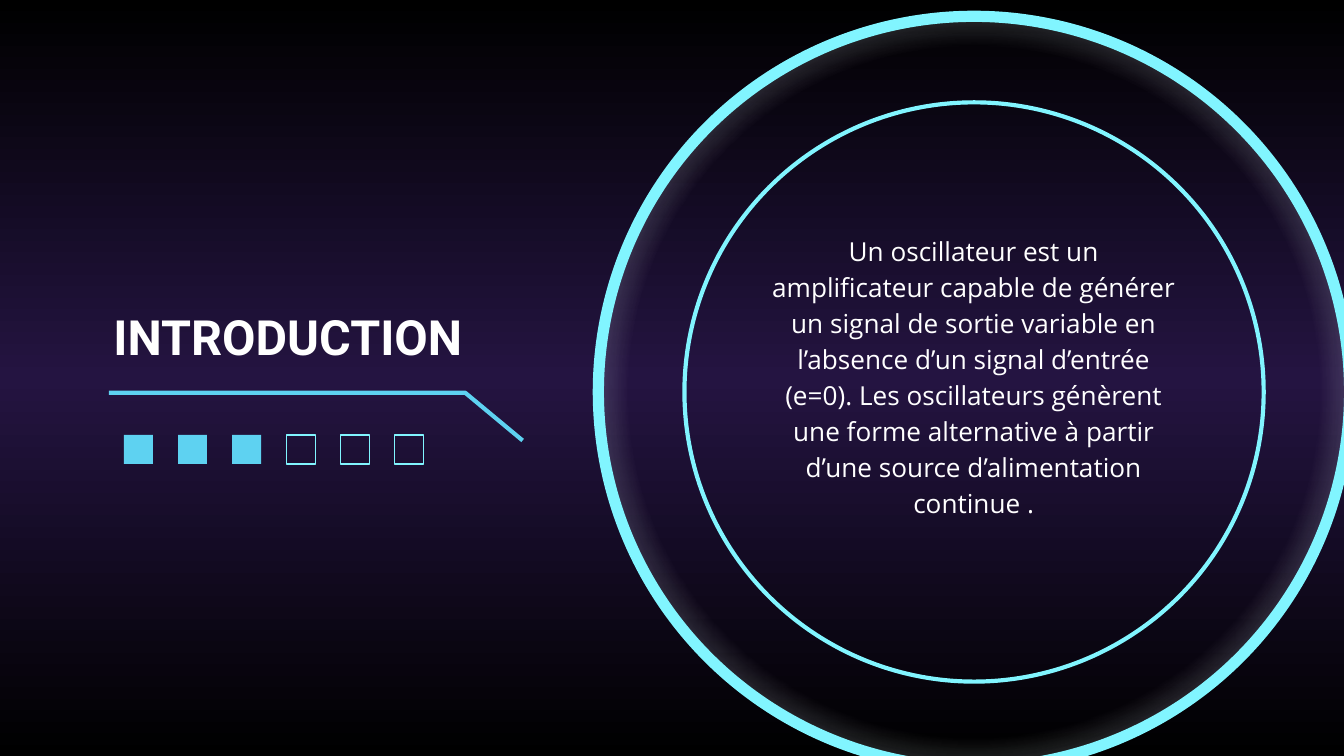
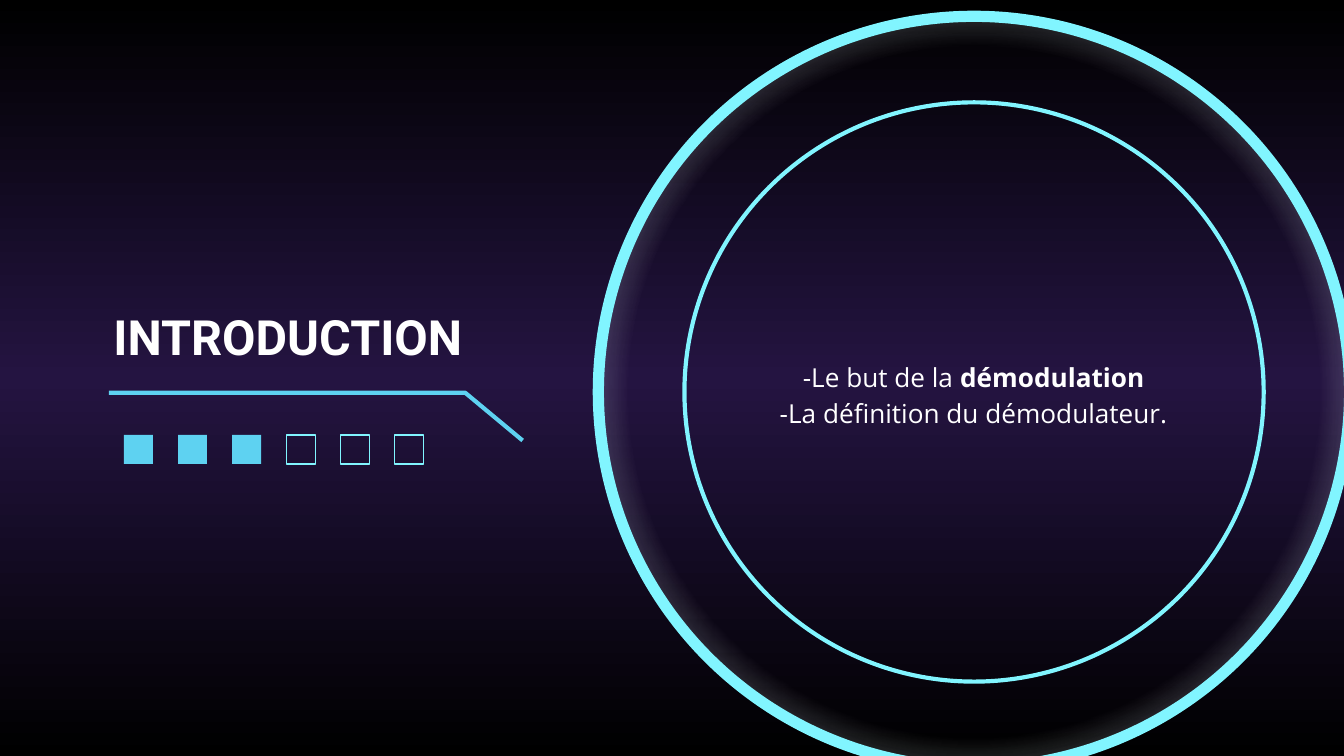
from dataclasses import dataclass

from lxml import etree
from pptx import Presentation
from pptx.dml.color import RGBColor
from pptx.enum.shapes import MSO_SHAPE
from pptx.enum.text import MSO_ANCHOR, MSO_AUTO_SIZE, PP_ALIGN
from pptx.oxml.ns import qn
from pptx.util import Pt

OVAL, RECT = MSO_SHAPE.OVAL, MSO_SHAPE.RECTANGLE
MIDDLE, CENTER = MSO_ANCHOR.MIDDLE, PP_ALIGN.CENTER
NO_AUTOFIT = MSO_AUTO_SIZE.NONE

WHITE, BLACK, PURPLE = "FFFFFF", "000000", "241441"
SKY, CYAN = "5ED2F1", "81F5FF"
TITLE_FONT, BODY_FONT = "Roboto", "Open Sans"

TITLE_BOX = (30.2, 156.2, 248.4, 47.5)
BODY_BOX = (403.2, 124.6, 236.9, 171.4)
RULE_POINTS = [(58.3, 210.4), (249.2, 210.4), (280, 236)]
SQUARE_LEFT, SQUARE_TOP, SQUARE_SIZE, SQUARE_PITCH = 66.4, 233, 15.5, 29
SQUARE_COUNT, FILLED_COUNT = 6, 3


@dataclass
class Stop:
    percent: int
    color: str
    alpha: int = 100


@dataclass
class Ring:
    center_x: float
    center_y: float
    diameter: float
    weight: float
    stops: tuple = ()


@dataclass
class Run:
    text: str
    bold: bool = False


@dataclass
class Intro:
    paragraphs: list
    margin_top: float = 7.2
    margin_bottom: float = 7.2


BACKGROUND = (Stop(0, BLACK), Stop(50, PURPLE), Stop(100, BLACK))
GLOW = (Stop(0, WHITE, 0), Stop(65, WHITE, 0), Stop(100, SKY))
RINGS = [Ring(521.8, 210, 402.5, 6, GLOW), Ring(521.8, 210, 310.3, 2.25)]

SLIDES = [
    Intro([[Run("Un oscillateur est un amplificateur capable de générer un signal de "
                "sortie variable en l’absence d’un signal d’entrée (e=0). Les "
                "oscillateurs génèrent une forme alternative à partir d’une source "
                "d’alimentation continue .")]],
          margin_top=0, margin_bottom=19.4),
    Intro([[Run("-Le but de la "), Run("démodulation", bold=True)],
           [Run("-La définition du démodulateur.")]]),
]


def rgb(color: str) -> RGBColor:
    return RGBColor.from_string(color)


def set_gradient(fill, element, stops: tuple, radial: bool = False) -> None:
    fill.gradient()
    grad = element.find(".//" + qn("a:gradFill"))
    for child in list(grad):
        grad.remove(child)
    stop_list = etree.SubElement(grad, qn("a:gsLst"))
    for stop in stops:
        gs = etree.SubElement(stop_list, qn("a:gs"), pos=str(stop.percent * 1000))
        clr = etree.SubElement(gs, qn("a:srgbClr"), val=stop.color)
        if stop.alpha < 100:
            etree.SubElement(clr, qn("a:alpha"), val=str(stop.alpha * 1000))
    if radial:
        shade = etree.SubElement(grad, qn("a:path"), {"path": "circle"})
        etree.SubElement(shade, qn("a:fillToRect"),
                         {side: "50000" for side in "ltrb"})
    else:
        etree.SubElement(grad, qn("a:lin"), ang="5400000", scaled="0")


def style(sp, fill: str = "", line: str = "", weight: float = 0.75) -> None:
    sp.shadow.inherit = False
    if fill:
        sp.fill.solid()
        sp.fill.fore_color.rgb = rgb(fill)
    else:
        sp.fill.background()
    if line:
        sp.line.color.rgb = rgb(line)
        sp.line.width = Pt(weight)
    else:
        sp.line.fill.background()


def add_run(p, text: str, *, font: str, size: float, bold: bool = False,
            color: str = WHITE) -> None:
    r = p.add_run()
    r.text = text
    r.font.name, r.font.size, r.font.bold = font, Pt(size), bold
    r.font.color.rgb = rgb(color)


def set_frame(tf, margin_top: float = 7.2, margin_bottom: float = 7.2) -> None:
    tf.word_wrap = True
    tf.auto_size = NO_AUTOFIT
    tf.vertical_anchor = MIDDLE
    tf.margin_left = tf.margin_right = Pt(7.2)
    tf.margin_top, tf.margin_bottom = Pt(margin_top), Pt(margin_bottom)


def add_rings(s) -> None:
    for ring in RINGS:
        radius = ring.diameter / 2
        sp = s.shapes.add_shape(OVAL, Pt(ring.center_x - radius), Pt(ring.center_y - radius),
                                Pt(ring.diameter), Pt(ring.diameter))
        style(sp, line=CYAN, weight=ring.weight)
        if ring.stops:
            set_gradient(sp.fill, sp.element, ring.stops, radial=True)


def add_title(s, text: str) -> None:
    title = s.shapes.title
    title.left, title.top, title.width, title.height = map(Pt, TITLE_BOX)
    set_frame(title.text_frame)
    p = title.text_frame.paragraphs[0]
    p.alignment = CENTER
    add_run(p, text, font=TITLE_FONT, size=26, bold=True)


def add_body(s, intro: Intro) -> None:
    tf = s.shapes.add_textbox(*map(Pt, BODY_BOX)).text_frame
    set_frame(tf, intro.margin_top, intro.margin_bottom)
    for i, runs in enumerate(intro.paragraphs):
        p = tf.add_paragraph() if i else tf.paragraphs[0]
        p.alignment, p.line_spacing = CENTER, 1.15
        for run in runs:
            add_run(p, run.text, font=BODY_FONT, size=14, bold=run.bold)


def add_rule(s) -> None:
    start, *rest = [(Pt(x), Pt(y)) for x, y in RULE_POINTS]
    builder = s.shapes.build_freeform(*start)
    builder.add_line_segments(rest, close=False)
    style(builder.convert_to_shape(), line=SKY, weight=2.25)


def add_squares(s) -> None:
    for i in range(SQUARE_COUNT):
        sp = s.shapes.add_shape(RECT, Pt(SQUARE_LEFT + i * SQUARE_PITCH), Pt(SQUARE_TOP),
                                Pt(SQUARE_SIZE), Pt(SQUARE_SIZE))
        if i < FILLED_COUNT:
            style(sp, fill=SKY)
        else:
            style(sp, line=CYAN)


def main() -> None:
    prs = Presentation()
    prs.slide_width, prs.slide_height = Pt(720), Pt(405)
    master = prs.slide_master
    set_gradient(master.background.fill, master.element, BACKGROUND)
    title_only = prs.slide_layouts.get_by_name("Title Only")
    for intro in SLIDES:
        s = prs.slides.add_slide(title_only)
        add_rings(s)
        add_title(s, "INTRODUCTION")
        add_body(s, intro)
        add_rule(s)
        add_squares(s)
    prs.save("out.pptx")


if __name__ == "__main__":
    main()
